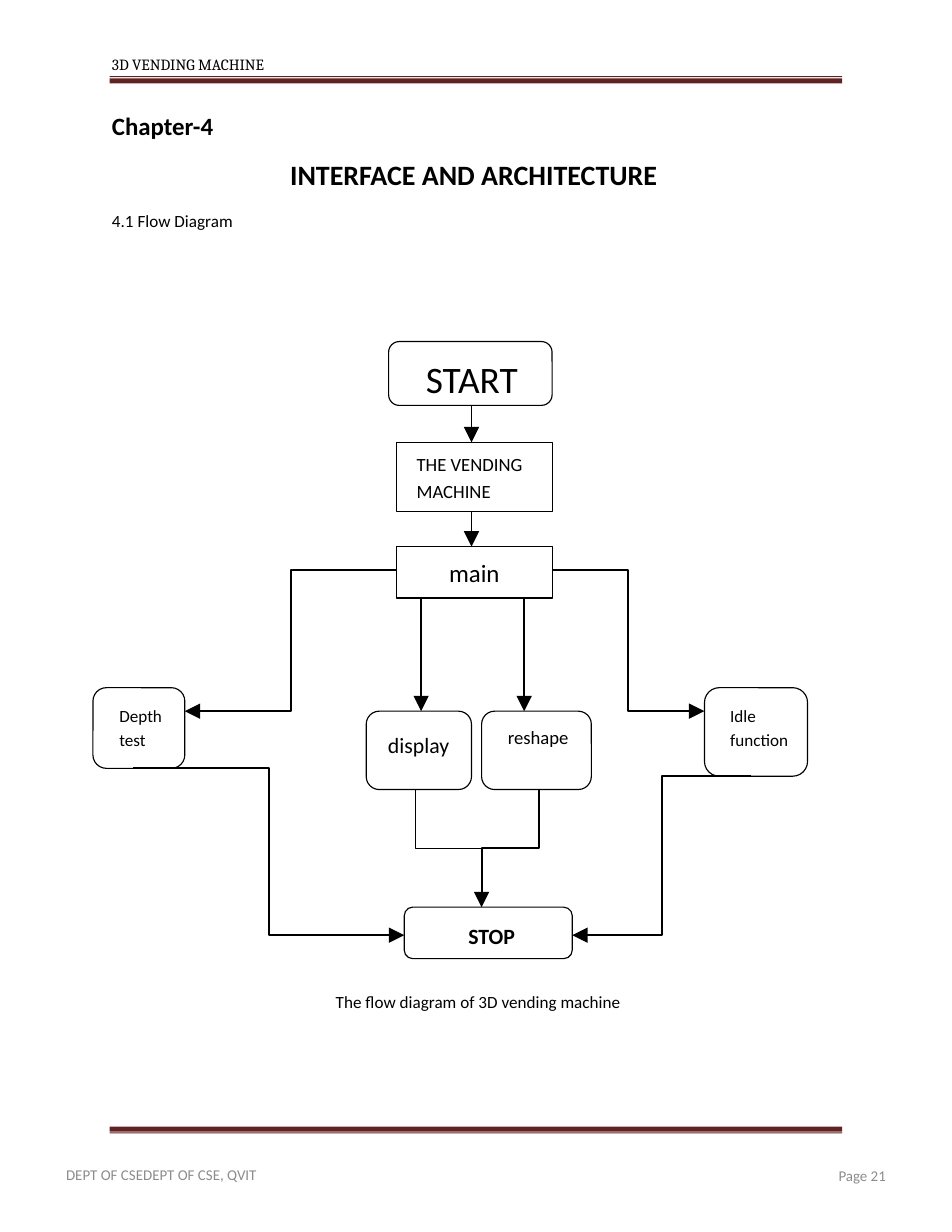
import pptx
import pptx.util
import pptx.dml.color
import pptx.enum.shapes
import pptx.enum.text
import lxml.etree

BLACK = pptx.dml.color.RGBColor(0, 0, 0)
MAROON = pptx.dml.color.RGBColor(0x61, 0x23, 0x22)
GREY = pptx.dml.color.RGBColor(0x8C, 0x8C, 0x8C)

WIDE, HIGH = pptx.util.Inches(8.5), pptx.util.Inches(11)
COLS, ROWS = 85, 110

SHAPE = pptx.enum.shapes.MSO_SHAPE
LINK = pptx.enum.shapes.MSO_CONNECTOR
ALIGN = pptx.enum.text.PP_ALIGN
ANCHOR = pptx.enum.text.MSO_ANCHOR
DRAW = "{http://schemas.openxmlformats.org/drawingml/2006/main}"


def col(count):
    return round(WIDE * count / COLS)


def row(count):
    return round(HIGH * count / ROWS)


def place(box):
    left, top, width, height = box
    return col(left), row(top), col(width), row(height)


def assign(item, values):
    for name, value in values.items():
        setattr(item, name, value)


def write(shape, text, size, left=0, top=0, align=ALIGN.LEFT, space=1.0,
          anchor=ANCHOR.TOP, color=BLACK, **font):
    frame = shape.text_frame
    assign(frame, {
        "text": text, "word_wrap": True, "vertical_anchor": anchor,
        "auto_size": pptx.enum.text.MSO_AUTO_SIZE.NONE,
        "margin_left": col(left), "margin_top": row(top),
        "margin_right": 0, "margin_bottom": 0})
    for para in frame.paragraphs:
        assign(para, {"alignment": align, "line_spacing": space})
        for run in para.runs:
            look = {"name": "Calibri", "size": pptx.util.Pt(size)}
            assign(run.font, {**look, **font})
            run.font.color.rgb = color


def label(slide, box, text, size, **look):
    write(slide.shapes.add_textbox(*place(box)), text, size, **look)


def node(slide, kind, box, text, size, **look):
    shape = slide.shapes.add_shape(kind, *place(box))
    shape.shadow.inherit = False
    shape.fill.background()
    shape.line.color.rgb = BLACK
    shape.line.width = pptx.util.Pt(0.75)
    write(shape, text, size, **look)


def stroke(shape, points, arrow):
    shape.line.color.rgb = BLACK
    shape.line.width = pptx.util.Pt(points)
    if arrow:
        line = shape.line._get_or_add_ln()
        lxml.etree.SubElement(line, DRAW + "tailEnd", type="triangle",
                              w="lg", len="lg")


def link(slide, kind, start, end):
    line = slide.shapes.add_connector(
        kind, col(start[0]), row(start[1]), col(end[0]), row(end[1]))
    stroke(line, 1.15, True)
    lxml.etree.SubElement(line._element.spPr, DRAW + "effectLst")


def drop(slide, start, end, points, arrow):
    # Down, across at half height, and down again
    half = (start[1] + end[1]) / 2
    pen = slide.shapes.build_freeform(col(start[0]), row(start[1]))
    pen.add_line_segments([(col(x), row(y)) for x, y in
                           [(start[0], half), (end[0], half), end]],
                          close=False)
    shape = pen.convert_to_shape()
    shape.shadow.inherit = False
    shape.fill.background()
    stroke(shape, points, arrow)


def rule(slide, top, height):
    bar = slide.shapes.add_shape(SHAPE.RECTANGLE,
                                 *place((9.8, top, 65.4, height)))
    bar.shadow.inherit = False
    bar.fill.solid()
    bar.fill.fore_color.rgb = MAROON
    bar.line.fill.background()


def main():
    deck = pptx.Presentation()
    assign(deck, {"slide_width": WIDE, "slide_height": HIGH})
    slide = deck.slides.add_slide(deck.slide_layouts[5])

    # Header and headings
    label(slide, (9.9, 4.8, 20, 1.9), "3D VENDING MACHINE", 10,
          left=0.1, top=0.1, name="Cambria")
    for top, height in [(6.8, 0.1), (7, 0.45), (100.6, 0.45), (101.1, 0.1)]:
        rule(slide, top, height)
    label(slide, (9.9, 9.9, 20, 2.7), "Chapter-4", 16, left=0.1, bold=True)
    title = slide.shapes.title
    assign(title, dict(zip(("left", "top", "width", "height"),
                           place((9.9, 14.1, 64.8, 3.1)))))
    write(title, "INTERFACE AND ARCHITECTURE", 18,
          align=ALIGN.CENTER, bold=True)
    label(slide, (9.9, 18.7, 20, 2.1), "4.1 Flow Diagram", 11,
          left=0.1, top=0.1)

    # Steps of the flow
    box, curve = SHAPE.RECTANGLE, SHAPE.ROUNDED_RECTANGLE
    for kind, area, text, size, look in [
            (curve, (34.7, 30.5, 14.6, 5.7), "START", 24,
             {"left": 3.05, "top": 1}),
            (box, (35.4, 39.5, 13.9, 6.2), "THE VENDING\vMACHINE", 12,
             {"left": 1.8, "top": 0.6, "space": 1.18}),
            (box, (35.4, 48.8, 13.9, 4.6), "main", 16,
             {"top": 1, "align": ALIGN.CENTER}),
            (curve, (32.7, 63.5, 9.4, 7), "display", 14,
             {"left": 1.6, "top": 1.5}),
            (curve, (43, 63.5, 9.8, 7), "reshape", 12,
             {"left": 2, "top": 1}),
            (curve, (62.9, 61.4, 9.2, 7.9), "Idle\vfunction", 11,
             {"left": 1.9, "top": 0.9, "space": 1.17}),
            (curve, (8.3, 61.4, 8.2, 7.2), "Depth\vtest", 11,
             {"left": 2, "top": 0.9, "space": 1.17}),
            (curve, (36.1, 81, 15, 4.6), "STOP", 14,
             {"left": 5.5, "top": 1.2, "bold": True})]:
        node(slide, kind, area, text, size, **look)

    # Straight and bent arrows
    for x, top, end in [(42.1, 36.2, 39.5), (42.1, 45.7, 48.8),
                        (37.6, 53.4, 63.5), (46.8, 53.4, 63.5)]:
        link(slide, LINK.STRAIGHT, (x, top), (x, end))
    for start, end in [((35.4, 50.9), (16.5, 63.5)),
                       ((49.3, 50.9), (62.9, 63.5)),
                       ((11.9, 68.6), (36.1, 83.5)),
                       ((67.1, 69.3), (51.1, 83.5))]:
        link(slide, LINK.ELBOW, start, end)
    drop(slide, (37.1, 70.5), (43, 81), 0.75, False)
    drop(slide, (48.1, 70.5), (43, 81), 1.15, True)

    # Caption and footer
    label(slide, (29.9, 88.5, 25.6, 2),
          "The flow diagram of 3D vending machine", 11, align=ALIGN.CENTER)
    label(slide, (5.8, 104, 19.1, 1.7), "DEPT OF CSEDEPT OF CSE, QVIT", 9.6,
          left=0.1, top=0.1, anchor=ANCHOR.MIDDLE, color=GREY)
    label(slide, (60, 102, 19.1, 5.9), "Page 21", 9.6, top=0.1,
          align=ALIGN.RIGHT, anchor=ANCHOR.MIDDLE, color=GREY)
    deck.save("out.pptx")


main()
